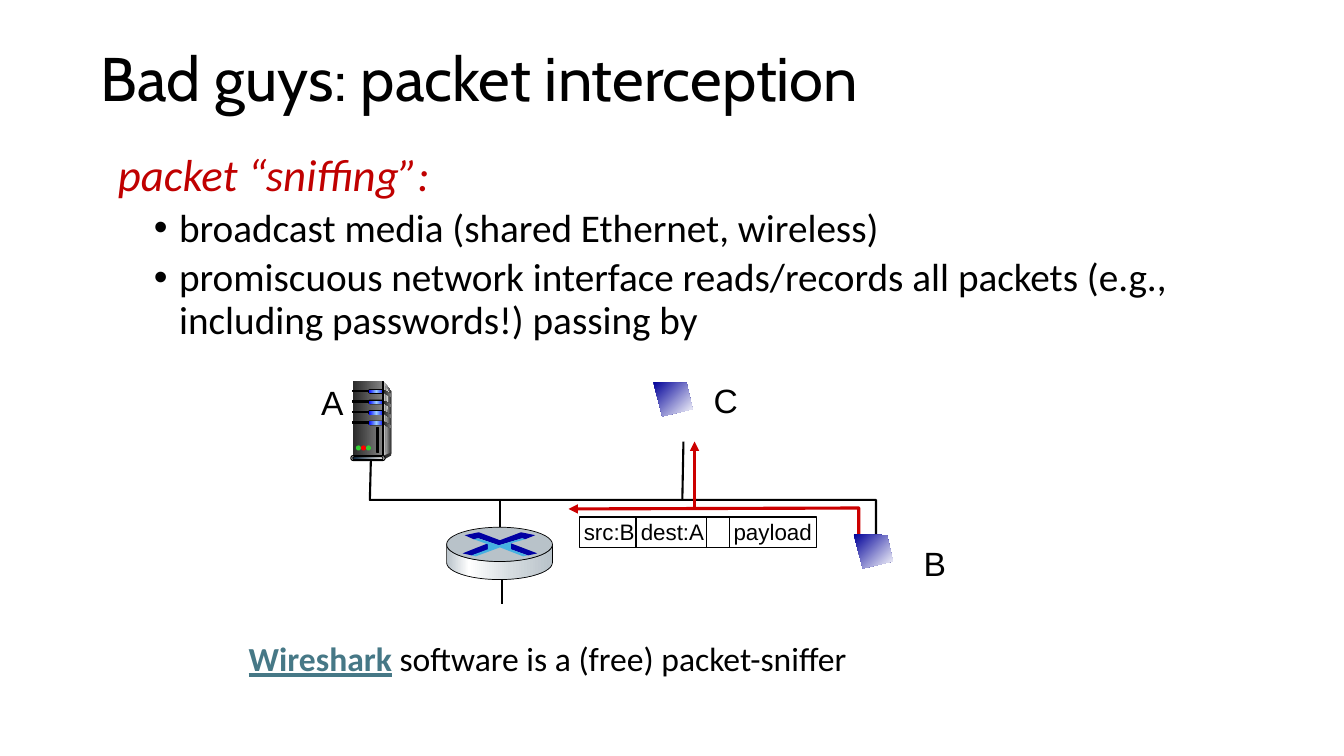
import math
from dataclasses import dataclass

import pptx
import pptx.dml.color
import pptx.enum.shapes
import pptx.enum.text
import pptx.oxml.ns
import pptx.util
from lxml import etree

Pt = pptx.util.Pt
SHAPE = pptx.enum.shapes.MSO_SHAPE
ALIGN = pptx.enum.text.PP_ALIGN
ANCHOR = pptx.enum.text.MSO_ANCHOR
qn = pptx.oxml.ns.qn


@dataclass(frozen=True)
class Theme:
    title_font: str = "Cabin"
    body_font: str = "Calibri"
    diagram_font: str = "Arial"
    title_size: int = 44
    lead_size: int = 32
    bullet_size: int = 28
    label_size: int = 24
    packet_size: int = 16
    black: str = "000000"
    white: str = "FFFFFF"
    lead: str = "C00000"
    link: str = "467886"
    traffic: str = "CC0000"
    screen: tuple = ((0, "000099"), (100, "FFFFFF"))
    dark: str = "333333"
    light: str = "DDDDDD"
    panel: str = "292929"
    server_front: tuple = ((0, "292929"), (100, "808080"))
    server_side: tuple = ((0, "DDDDDD"), (100, "333333"))
    server_shine: tuple = ((0, "808080"), (100, "F8F8F8"))
    server_edge: tuple = ((0, "333333"), (50, "DDDDDD"), (100, "333333"))
    server_base: tuple = ((0, "0E2841"), (100, "E8E8E8"))
    drive: tuple = ((0, "0000FF"), (50, "99CCFF"), (100, "0000FF"))
    lamp_on: str = "33CC33"
    lamp_alert: str = "FF0000"
    router_lid: str = "B8C2C9"
    router_body: tuple = ((0, "B8C2C9"), (21, "FFFFFF"), (60, "D6DCE0"), (100, "B8C2C9"))
    router_arrow: str = "0000A3"
    router_cross: str = "46B1E1"


THEME = Theme()


def rgb(value):
    return pptx.dml.color.RGBColor.from_string(value)


def apply(target, formats):
    for name, value in formats.items():
        setattr(target, name, value)


def paint(shape, fill=None, line=None, width=0.75, angle=0):
    """Fill with a colour, gradient stops or nothing, and draw the outline."""
    shape.shadow.inherit = False
    if fill is None:
        shape.fill.background()
    elif isinstance(fill, str):
        shape.fill.solid()
        shape.fill.fore_color.rgb = rgb(fill)
    else:
        shape.fill.gradient()
        shape.fill.gradient_angle = angle
        stops = next(shape._element.spPr.iter(qn("a:gsLst")))
        for stop in list(stops):
            stops.remove(stop)
        for position, colour in fill:
            stop = etree.SubElement(stops, qn("a:gs"), pos=str(position * 1000))
            etree.SubElement(stop, qn("a:srgbClr"), val=colour)
    if line is None:
        shape.line.fill.background()
    else:
        stroke(shape, line, width)
    return shape


def stroke(shape, colour, width, arrow=False):
    shape.line.fill.solid()
    shape.line.fill.fore_color.rgb = rgb(colour)
    shape.line.width = Pt(width)
    if arrow:
        etree.SubElement(shape.line._get_or_add_ln(), qn("a:tailEnd"), type="triangle")


def preset(shapes, kind, box, fill, **look):
    shape = shapes.add_shape(kind, *map(Pt, box))
    if kind == SHAPE.ROUNDED_RECTANGLE:
        shape.adjustments[0] = 0.5
    return paint(shape, fill, **look)


def outline(shapes, points, fill=None, closed=True, **look):
    corners = [(Pt(x), Pt(y)) for x, y in points]
    builder = shapes.build_freeform(*corners[0])
    builder.add_line_segments(corners[1:], close=closed)
    return paint(builder.convert_to_shape(), fill, **look)


def wire(shapes, start, end, colour=THEME.black, width=1.5, arrow=False):
    link = shapes.add_connector(
        pptx.enum.shapes.MSO_CONNECTOR.STRAIGHT, *map(Pt, start + end))
    stroke(link, colour, width, arrow)
    etree.SubElement(link._element.spPr, qn("a:effectLst"))


def text_frame(shapes, box, **formats):
    frame = shapes.add_textbox(*map(Pt, box)).text_frame
    apply(frame, {"word_wrap": True, **formats})
    return frame


def indent(paragraph, left, first, bullet=None):
    props = paragraph._p.get_or_add_pPr()
    props.set("marL", str(Pt(left)))
    props.set("indent", str(Pt(first)))
    if bullet:
        etree.SubElement(props, qn("a:buFont"), typeface="Arial")
        etree.SubElement(props, qn("a:buChar"), char=bullet)


def write(paragraph, text, font, size, colour=THEME.black, **formats):
    run = paragraph.add_run()
    run.text = text
    apply(run.font, {"name": font, "size": Pt(size), **formats})
    run.font.color.rgb = rgb(colour)


def draw_text(shapes):
    title = text_frame(shapes, (64.8, 23, 828, 70.6), vertical_anchor=ANCHOR.MIDDLE)
    title.paragraphs[0].line_spacing = 0.9
    write(title.paragraphs[0], "Bad guys: packet interception",
          THEME.title_font, THEME.title_size)

    body = text_frame(shapes, (66.2, 105.8, 814.3, 164.2))
    lead = body.paragraphs[0]
    indent(lead, 28, -17.1)
    lead.line_spacing = 0.9
    write(lead, "packet “sniffing”:", THEME.body_font, THEME.lead_size,
          THEME.lead, italic=True)
    for point in (
        "broadcast media (shared Ethernet, wireless)",
        "promiscuous network interface reads/records all packets (e.g., "
        "including passwords!) passing by",
    ):
        item = body.add_paragraph()
        indent(item, 54.7, -18, "•")
        apply(item, {"level": 1, "line_spacing": 0.9, "space_before": Pt(5)})
        write(item, point, THEME.body_font, THEME.bullet_size)


def draw_tool_note(shapes):
    note = text_frame(shapes, (134.6, 452.2, 807, 72)).paragraphs[0]
    indent(note, 36, 0)
    write(note, "Wireshark", THEME.body_font, THEME.label_size, THEME.link,
          bold=True, underline=True)
    write(note, " software is a (free) packet-sniffer", THEME.body_font, THEME.label_size)


def draw_screen(shapes, x, y):
    corners = ((0, 0), (23.8, 0.7), (28.1, 19.4), (6.5, 24.5))
    outline(shapes, [(x + dx, y + dy) for dx, dy in corners], THEME.screen, angle=315)


def draw_network(shapes):
    outline(shapes, [(265, 325.4), (264.2, 357.1), (625.7, 357.1), (625.7, 383)],
            closed=False, line=THEME.black, width=1.5)
    wire(shapes, (487.4, 356.4), (488.2, 315.4))
    wire(shapes, (357.1, 385.9), (357.1, 356.4))
    wire(shapes, (358.6, 431.3), (358.6, 412.6))
    for host, x, y in (("A", 221.8, 269.3), ("B", 652.3, 384.5), ("C", 502.6, 267.8)):
        label = text_frame(shapes, (x, y, 31, 36), word_wrap=False).paragraphs[0]
        label.alignment = ALIGN.CENTER
        write(label, host, THEME.diagram_font, THEME.label_size)


def draw_packet(shapes):
    top, height = 369.4, 21.6
    preset(shapes, SHAPE.RECTANGLE, (414, top, 169.2, height), THEME.white,
           line=THEME.black, width=1)
    for x in (454.3, 504.7, 521.3):
        wire(shapes, (x, top), (x, top + height), width=1)
    fields = text_frame(shapes, (408.2, 366.5, 180.7, 26.6),
                        margin_left=Pt(8.8), margin_right=0).paragraphs[0]
    tabs = etree.SubElement(fields._p.get_or_add_pPr(), qn("a:tabLst"))
    etree.SubElement(tabs, qn("a:tab"), pos=str(Pt(107)), algn="l")
    write(fields, "src:B dest:A\tpayload", THEME.diagram_font, THEME.packet_size)
    route = outline(shapes, [(613.4, 381.6), (613.4, 362.9), (406.1, 363.6)], closed=False)
    stroke(route, THEME.traffic, 2.25, arrow=True)
    wire(shapes, (496.1, 362.9), (496.1, 315.4), THEME.traffic, 2.25, arrow=True)


def draw_server(shapes):
    outline(shapes, [(274.3, 272.9), (279.4, 279.4), (279.4, 324), (273.6, 326.2)],
            THEME.server_side)
    preset(shapes, SHAPE.RECTANGLE, (252, 272.2, 20.9, 53.3), THEME.server_front)
    outline(shapes, [(275, 275.8), (277.9, 280.1), (275.6, 300), (275, 324.7)],
            THEME.server_shine)
    for bay in range(4):
        y = 278.6 + 7.5 * bay
        outline(shapes, [(274.3, y), (279.4, y + 2.9), (279.4, y + 5), (274.3, y + 2.2)],
                THEME.server_front)
        preset(shapes, SHAPE.RECTANGLE, (252, y, 12.2, 1.4), THEME.black, line=THEME.black)
        preset(shapes, SHAPE.ROUNDED_RECTANGLE, (262.8, y - 0.7, 11.5, 3.4), THEME.black)
        preset(shapes, SHAPE.ROUNDED_RECTANGLE, (263.3, y, 11.2, 2.5), THEME.drive)
    preset(shapes, SHAPE.RECTANGLE, (272.9, 272.2, 1.4, 53.3), THEME.server_edge,
           line=THEME.black)
    preset(shapes, SHAPE.OVAL, (278.6, 323.3, 0.7, 2.2), THEME.dark)
    outline(shapes, [(274.3, 325.4), (274.3, 328.3), (279.4, 325.4), (279.4, 323.3)],
            THEME.dark)
    preset(shapes, SHAPE.ROUNDED_RECTANGLE, (250.6, 325.4, 24.5, 3.6), THEME.light,
           line=THEME.black)
    preset(shapes, SHAPE.ROUNDED_RECTANGLE, (252, 326.2, 21.6, 2.2), THEME.server_base,
           line=THEME.black)
    for i, lamp in enumerate((THEME.lamp_on, THEME.lamp_alert, THEME.lamp_on)):
        preset(shapes, SHAPE.OVAL, (254.2 + 3.6 * i, 318.2, 3.6, 3.6), lamp)
    preset(shapes, SHAPE.RECTANGLE, (269.3, 305.3, 1.4, 18), THEME.panel, line=THEME.black)


def draw_router(shapes):
    def rim(y):
        """Front half of an ellipse, from right to left."""
        turns = [math.pi * step / 24 for step in range(25)]
        return [(356.8 + 37.8 * math.cos(t), y + 12.2 * math.sin(t)) for t in turns]

    outline(shapes, rim(401.8) + rim(388.8)[::-1], THEME.router_body,
            line=THEME.black, width=0.5)
    preset(shapes, SHAPE.OVAL, (319, 376.6, 75.6, 24.5), THEME.router_lid,
           line=THEME.black, width=0.5)
    upper = [(372.2, 380.2), (382.3, 382.3), (375.1, 385.2), (373, 384.5), (356.4, 389.5),
             (342, 384.5), (338.4, 385.2), (331.9, 382.3), (342, 380.2), (357.1, 385.9)]
    right = [(365, 388.1), (383.8, 395.3), (377.3, 396.7), (365, 392.4)]
    left = [(348.5, 388.1), (349.2, 393.1), (337, 396.7), (330.5, 395.3)]
    for arrow in (upper, right, left):
        outline(shapes, arrow, THEME.router_arrow)
    outline(shapes, [
        (338.4, 385.2), (341.3, 384.5), (356.4, 389.5), (373, 384.5), (375.1, 385.2),
        (365, 388.1), (365, 392.4), (376.6, 396.7), (373.7, 397.4), (357.1, 391),
        (339.8, 397.4), (337, 396.7), (348.5, 392.4), (348.5, 388.8)], THEME.router_cross)


def main():
    deck = pptx.Presentation()
    apply(deck, {"slide_width": Pt(960), "slide_height": Pt(540)})
    shapes = deck.slides.add_slide(deck.slide_layouts[6]).shapes
    draw_text(shapes)
    draw_screen(shapes, 466.6, 272.9)
    draw_network(shapes)
    draw_packet(shapes.add_group_shape().shapes)
    draw_server(shapes.add_group_shape().shapes)
    draw_screen(shapes, 609.8, 381.6)
    draw_tool_note(shapes)
    draw_router(shapes.add_group_shape().shapes)
    deck.save("out.pptx")


if __name__ == "__main__":
    main()
